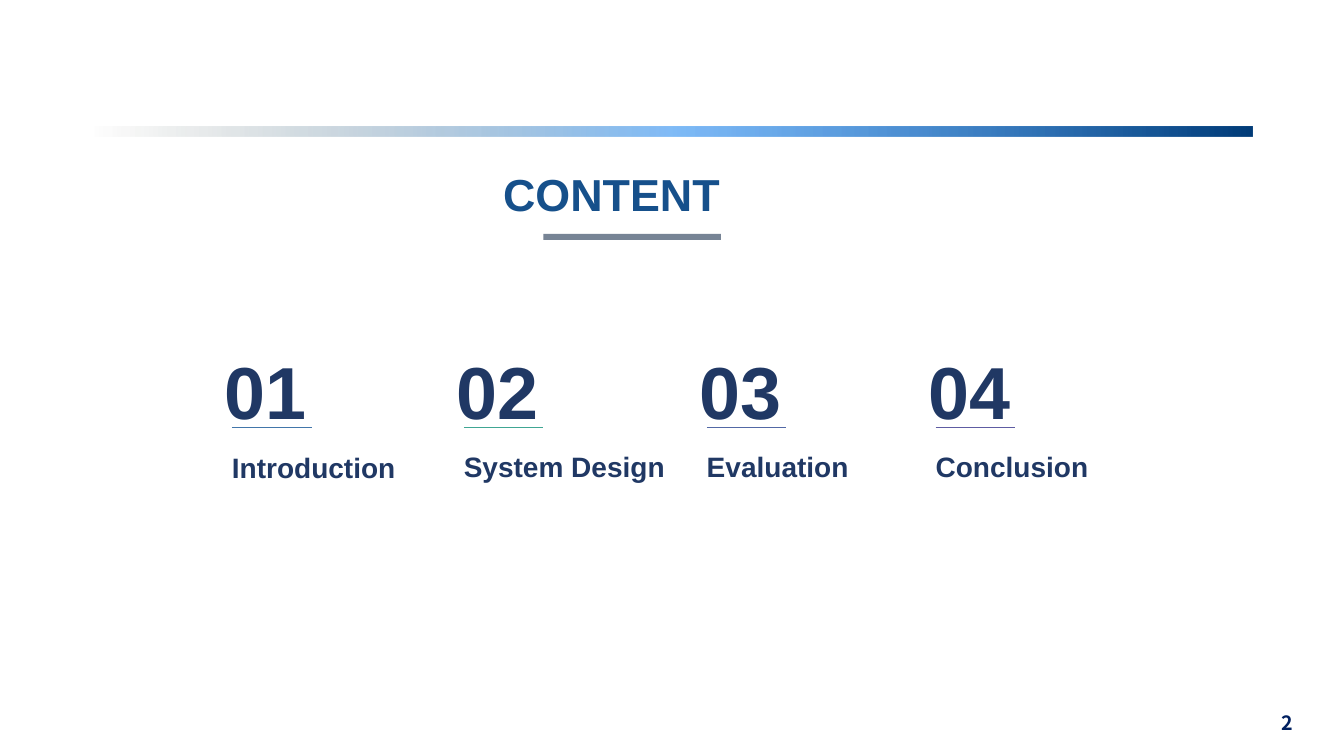
from lxml import etree
from pptx import Presentation
from pptx.dml.color import RGBColor
from pptx.enum.shapes import MSO_CONNECTOR as Connector, MSO_SHAPE as Shape
from pptx.enum.text import MSO_ANCHOR as Anchor, PP_ALIGN as Align
from pptx.oxml import parse_xml
from pptx.oxml.ns import nsdecls, qn
from pptx.util import Inches, Pt

NAVY = RGBColor(0x20, 0x38, 0x64)
TITLE_BLUE = RGBColor(0x16, 0x50, 0x8B)
PAGE_BLUE = RGBColor(0x00, 0x20, 0x60)
SLATE = RGBColor(0x77, 0x84, 0x95)
BLUE = RGBColor(0x42, 0x76, 0xAA)
TEAL = RGBColor(0x40, 0xA6, 0x93)
INDIGO = RGBColor(0x52, 0x68, 0xA5)
VIOLET = RGBColor(0x5E, 0x5C, 0xA2)
# position in %, colour, opacity in %
BAR_STOPS = [
    (0, RGBColor(0x00, 0x3C, 0x78), 100),
    (50, RGBColor(0x00, 0x78, 0xF0), 50),
    (100, RGBColor(0x14, 0x1D, 0x0C), 0),
]


class ContentPage:
    font = "Arial"

    def __init__(self, deck):
        self.shapes = deck.slides.add_slide(deck.slide_layouts[6]).shapes

    def text(self, words, left, top, width, height, size, color=NAVY, spacing=1.0,
             align=Align.LEFT, anchor=Anchor.TOP, side=0, edge=0, font=None):
        box = self.shapes.add_textbox(
            Inches(left), Inches(top), Inches(width), Inches(height))
        frame = box.text_frame
        frame.word_wrap = True
        frame.vertical_anchor = anchor
        frame.margin_left = frame.margin_right = Inches(side)
        frame.margin_top = frame.margin_bottom = Inches(edge)
        para = frame.paragraphs[0]
        para.alignment = align
        para.line_spacing = spacing
        span = para.add_run()
        span.text = words
        span.font.name = font or self.font
        span.font.size = Pt(size)
        span.font.bold = True
        span.font.color.rgb = color
        fonts = span.font._element
        east_asian = etree.SubElement(fonts, qn("a:ea"))
        east_asian.set("typeface", font or self.font)

    def bar(self, left, top, width, height, color):
        bar = self.shapes.add_shape(
            Shape.RECTANGLE, Inches(left), Inches(top), Inches(width), Inches(height))
        bar.shadow.inherit = False
        bar.line.fill.background()
        bar.fill.solid()
        bar.fill.fore_color.rgb = color
        return bar

    def fading_bar(self, left, top, width, height, stops):
        """Draw a bar whose gradient runs from right to left."""
        bar = self.bar(left, top, width, height, stops[0][1])
        stop_xml = "".join(
            f'<a:gs pos="{place * 1000}"><a:srgbClr val="{color}">'
            f'<a:alpha val="{opacity * 1000}"/></a:srgbClr></a:gs>'
            for place, color, opacity in stops)
        gradient = parse_xml(
            f'<a:gradFill {nsdecls("a")} rotWithShape="1"><a:gsLst>{stop_xml}</a:gsLst>'
            '<a:lin ang="10800000" scaled="0"/></a:gradFill>')
        properties = bar._element.spPr
        properties.replace(properties.find(qn("a:solidFill")), gradient)

    def rule(self, left, top, length, color, weight):
        line = self.shapes.add_connector(
            Connector.STRAIGHT, Inches(left), Inches(top),
            Inches(left + length), Inches(top))
        line.line.color.rgb = color
        line.line.width = Pt(weight)
        etree.SubElement(line._element.spPr, qn("a:effectLst"))

    def chapter(self, number, name, left, width, color, weight=1,
                name_top=4.36, spacing=1.3):
        self.text(f"{number:02d}", left - 0.17, 3.26, 1.28, 0.98, 52.6,
                  spacing=1.2, side=0.1)
        self.rule(left, 4.24, 0.79, color, weight)
        self.text(name, left, name_top, width, 0.53, 20, spacing=spacing)


def main():
    deck = Presentation()
    deck.slide_width, deck.slide_height = Inches(13.33), Inches(7.5)
    page = ContentPage(deck)

    page.fading_bar(0.92, 1.26, 11.5, 0.09, BAR_STOPS)
    page.text("2", 9.92, 6.97, 3, 0.4, 14, PAGE_BLUE, align=Align.RIGHT,
              anchor=Anchor.MIDDLE, side=0.1, edge=0.05, font="Noto Sans CJK SC")
    page.text("CONTENT", 4.99, 1.49, 2.57, 0.82, 32, TITLE_BLUE, 1.3, Align.JUSTIFY)
    page.bar(5.39, 2.32, 1.76, 0.06, SLATE)

    page.chapter(1, "Introduction", 2.3, 1.85, BLUE, 0.5, name_top=4.3, spacing=1.5)
    page.chapter(2, "System Design", 4.6, 2.56, TEAL)
    page.chapter(3, "Evaluation", 7.01, 1.87, INDIGO)
    page.chapter(4, "Conclusion", 9.28, 1.87, VIOLET)

    deck.save("out.pptx")


if __name__ == "__main__":
    main()
